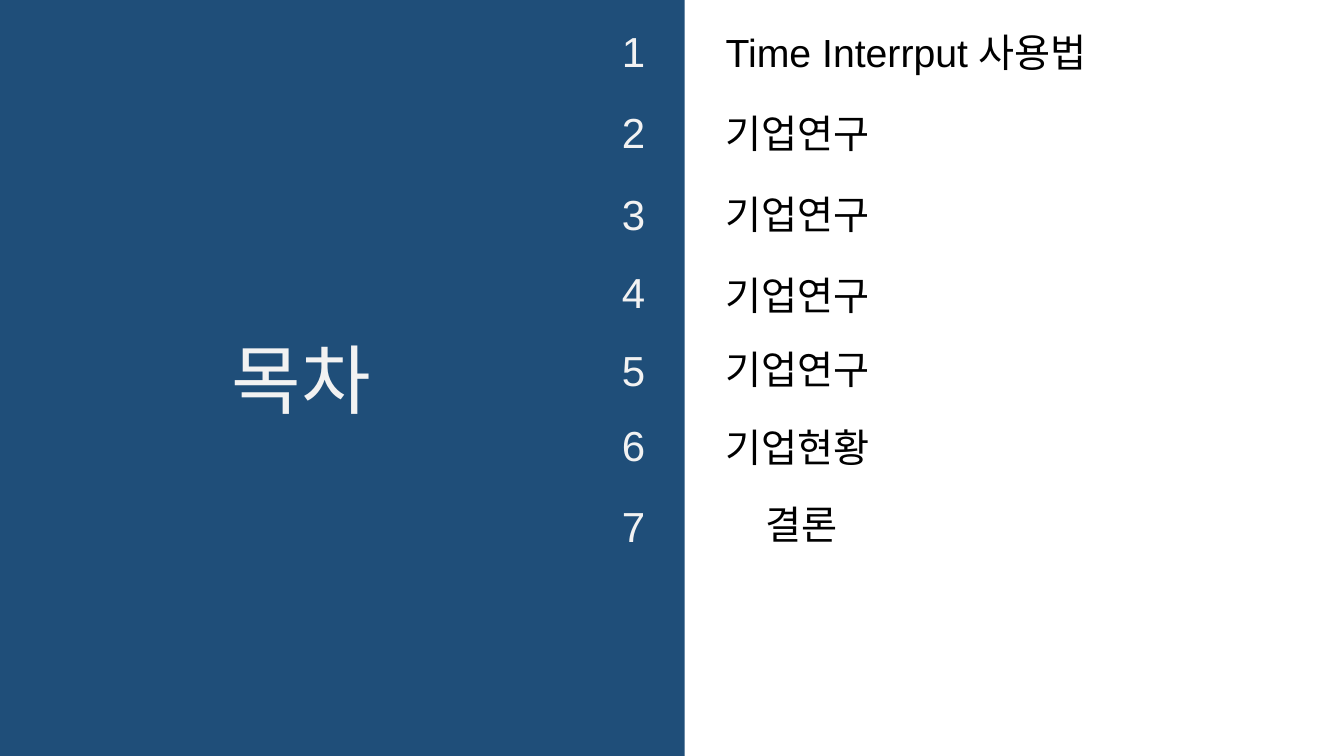
from dataclasses import dataclass

from pptx import Presentation
from pptx.dml.color import RGBColor
from pptx.enum.shapes import MSO_SHAPE
from pptx.enum.text import MSO_ANCHOR, MSO_AUTO_SIZE, PP_ALIGN
from pptx.slide import Slide
from pptx.util import Inches, Pt

RECTANGLE = MSO_SHAPE.RECTANGLE
FIT_TEXT = MSO_AUTO_SIZE.SHAPE_TO_FIT_TEXT
TOP = MSO_ANCHOR.TOP
LEFT = PP_ALIGN.LEFT

NAVY = RGBColor(0x1F, 0x4E, 0x79)
PALE = RGBColor(0xF2, 0xF2, 0xF2)
BLACK = RGBColor(0x00, 0x00, 0x00)
FONT = "Arial"

SLIDE_HEIGHT = 7.5
PANEL_WIDTH = 6.79
NUMBER_LEFT = 6.07
LABEL_LEFT = 7.1


@dataclass
class Label:
    text: str
    left: float
    top: float
    width: float
    height: float
    size: int
    color: RGBColor
    fill: RGBColor | None = None


@dataclass
class Entry:
    title: str
    number_top: float
    title_top: float
    title_width: float = 1.77
    title_left: float = LABEL_LEFT


ENTRIES = [
    Entry("Time Interrput 사용법", 0.2, 0.23, 4.07),
    Entry("기업연구", 1.01, 1.04),
    Entry("기업연구", 1.82, 1.84),
    Entry("기업연구", 2.59, 2.64),
    Entry("기업연구", 3.37, 3.38),
    Entry("기업현황", 4.11, 4.15),
    Entry("결론", 4.92, 4.91, 0.99, 7.49),
]


def add_panel(slide: Slide) -> None:
    panel = slide.shapes.add_shape(
        RECTANGLE, 0, 0, Inches(PANEL_WIDTH), Inches(SLIDE_HEIGHT)
    )
    panel.shadow.inherit = False
    panel.fill.solid()
    panel.fill.fore_color.rgb = NAVY
    panel.line.fill.background()


def add_label(slide: Slide, label: Label) -> None:
    shape = slide.shapes.add_textbox(
        Inches(label.left), Inches(label.top), Inches(label.width), Inches(label.height)
    )
    if label.fill is not None:
        shape.fill.solid()
        shape.fill.fore_color.rgb = label.fill
    frame = shape.text_frame
    frame.word_wrap = False
    frame.auto_size = FIT_TEXT
    frame.vertical_anchor = TOP
    paragraph = frame.paragraphs[0]
    paragraph.text = label.text
    paragraph.alignment = LEFT
    paragraph.font.name = FONT
    paragraph.font.size = Pt(label.size)
    paragraph.font.color.rgb = label.color


def add_entry(slide: Slide, number: int, entry: Entry) -> None:
    add_label(
        slide,
        Label(str(number), NUMBER_LEFT, entry.number_top, 0.43, 0.61, 30, PALE, NAVY),
    )
    add_label(
        slide,
        Label(
            entry.title, entry.title_left, entry.title_top,
            entry.title_width, 0.57, 28, BLACK,
        ),
    )


presentation = Presentation()
presentation.slide_width = Inches(13.33)
presentation.slide_height = Inches(SLIDE_HEIGHT)
slide = presentation.slides.add_slide(presentation.slide_layouts[6])

add_panel(slide)
add_label(slide, Label("목차", 2.2, 3.25, 1.72, 1.01, 54, PALE, NAVY))
for number, entry in enumerate(ENTRIES, start=1):
    add_entry(slide, number, entry)

presentation.save("out.pptx")
